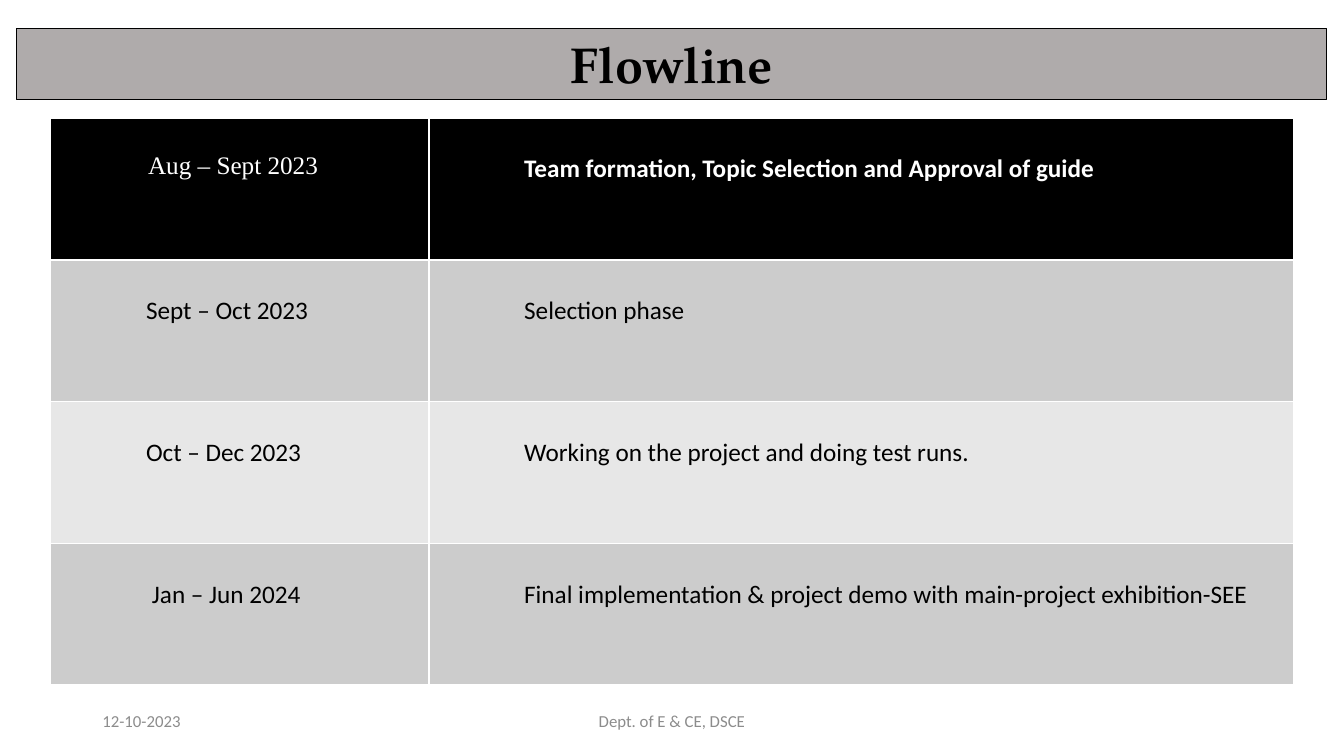
from lxml.etree import SubElement
from pptx import Presentation
from pptx.dml.color import RGBColor as RGB
from pptx.enum.shapes import MSO_SHAPE as SHAPE
from pptx.enum.text import MSO_ANCHOR as ANCHOR, PP_ALIGN as ALIGN
from pptx.oxml.ns import qn
from pptx.util import Cm, Pt

COLORS = {
    "black": "000000", "white": "FFFFFF", "banner": "AFABAB",
    "dark band": "CCCCCC", "light band": "E7E7E7", "footer": "8C8C8C",
}


def write(frame, text, color, align=ALIGN.LEFT, **font_format):
    paragraph = frame.paragraphs[0]
    paragraph.alignment = align
    run = paragraph.add_run()
    run.text = text
    for name, value in font_format.items():
        setattr(run.font, name, value)
    run.font.color.rgb = RGB.from_string(COLORS[color])


def add_borders(cell, color, width):
    properties = cell._tc.get_or_add_tcPr()
    for position, side in enumerate(("lnL", "lnR", "lnT", "lnB")):
        line = SubElement(properties, qn(f"a:{side}"), w=str(width))
        fill = SubElement(line, qn("a:solidFill"))
        SubElement(fill, qn("a:srgbClr"), val=COLORS[color])
        properties.insert(position, line)


presentation = Presentation()
presentation.slide_width, presentation.slide_height = Cm(33.87), Cm(19.05)
slide = presentation.slides.add_slide(presentation.slide_layouts[6])

# Footer
for text, left, width, align in (
    ("12-10-2023", 2.33, 7.62, ALIGN.LEFT),
    ("Dept. of E & CE, DSCE", 11.22, 11.43, ALIGN.CENTER),
):
    footer = slide.shapes.add_textbox(Cm(left), Cm(17.66), Cm(width), Cm(1.01)).text_frame
    footer.word_wrap = True
    footer.vertical_anchor = ANCHOR.MIDDLE
    write(footer, text, "footer", align, name="Calibri", size=Pt(12))

# Title banner
banner = slide.shapes.add_shape(SHAPE.RECTANGLE, Cm(0.42), Cm(0.71), Cm(33.02), Cm(1.8))
banner.shadow.inherit = False
banner.fill.solid()
banner.fill.fore_color.rgb = RGB.from_string(COLORS["banner"])
banner.line.color.rgb = RGB.from_string(COLORS["black"])
banner.line.width = Pt(0.75)
banner.text_frame.vertical_anchor = ANCHOR.TOP
write(banner.text_frame, "Flowline", "black", ALIGN.CENTER,
      name="TeX Gyre Pagella", size=Pt(36), bold=True)

# Schedule: period, work, band, text colour, period indent
phases = [
    ("Aug – Sept 2023", "Team formation, Topic Selection and Approval of guide",
     "black", "white", 2.45),
    ("Sept – Oct 2023", "Selection phase", "dark band", "black", 2.4),
    ("Oct – Dec 2023", "Working on the project and doing test runs.",
     "light band", "black", 2.4),
    ("Jan – Jun 2024", "Final implementation & project demo with main-project exhibition-SEE",
     "dark band", "black", 2.55),
]
schedule = slide.shapes.add_table(
    len(phases), 2, Cm(1.28), Cm(2.98), Cm(31.33), Cm(14.28)).table
schedule.columns[0].width, schedule.columns[1].width = Cm(9.53), Cm(21.8)

for row, (period, work, band, color, indent) in enumerate(phases):
    schedule.rows[row].height = Cm(3.57)
    is_header = row == 0
    for column, (text, left) in enumerate(((period, indent), (work, 2.4))):
        in_serif = is_header and column == 0
        cell = schedule.cell(row, column)
        cell.margin_left = Cm(left)
        cell.margin_top = Cm(0.85 if in_serif else 0.9)
        cell.fill.solid()
        cell.fill.fore_color.rgb = RGB.from_string(COLORS[band])
        add_borders(cell, "white", Pt(1))
        write(cell.text_frame, text, color, size=Pt(18),
              name="Times New Roman" if in_serif else "Calibri",
              bold=is_header and not in_serif)

presentation.save("out.pptx")
